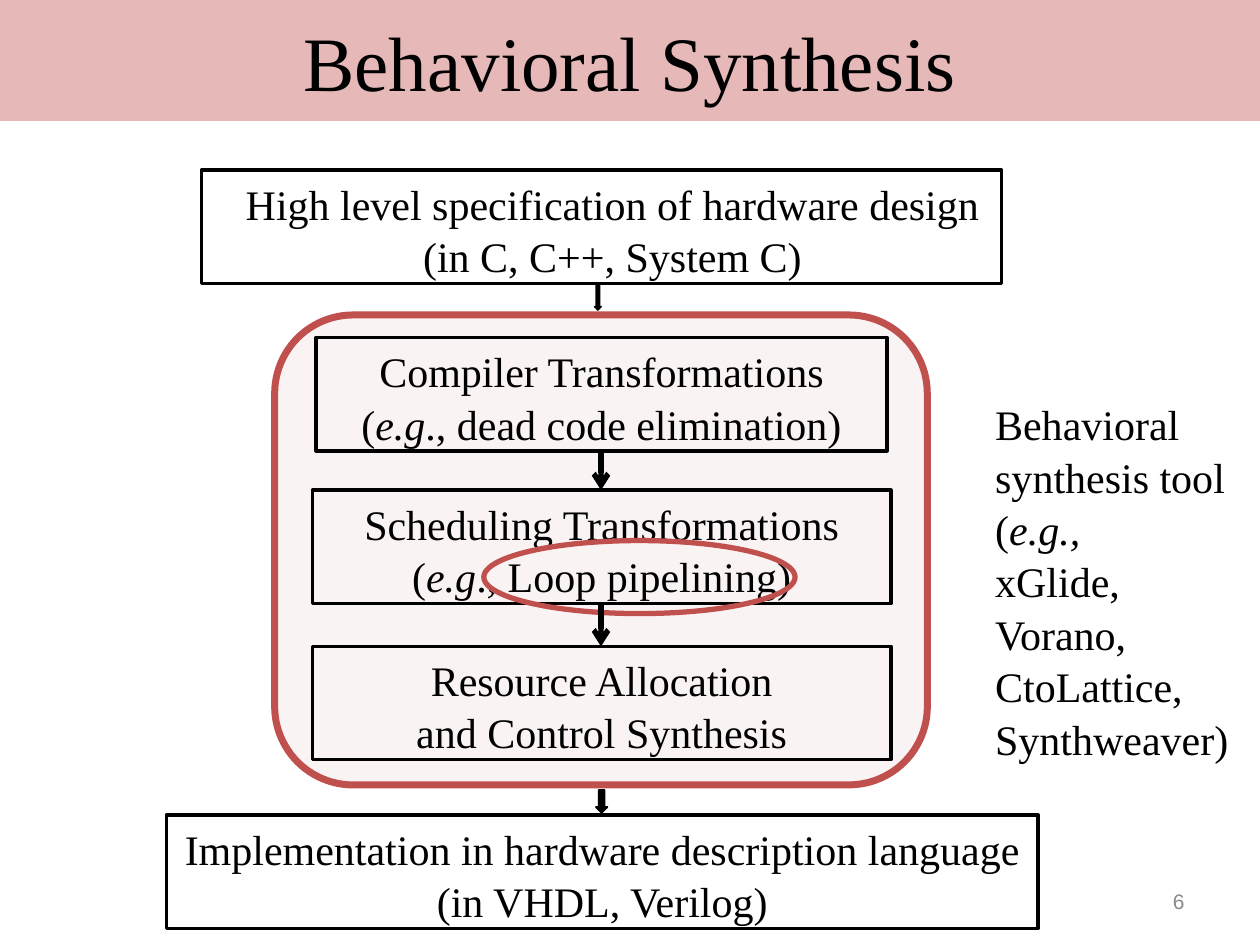
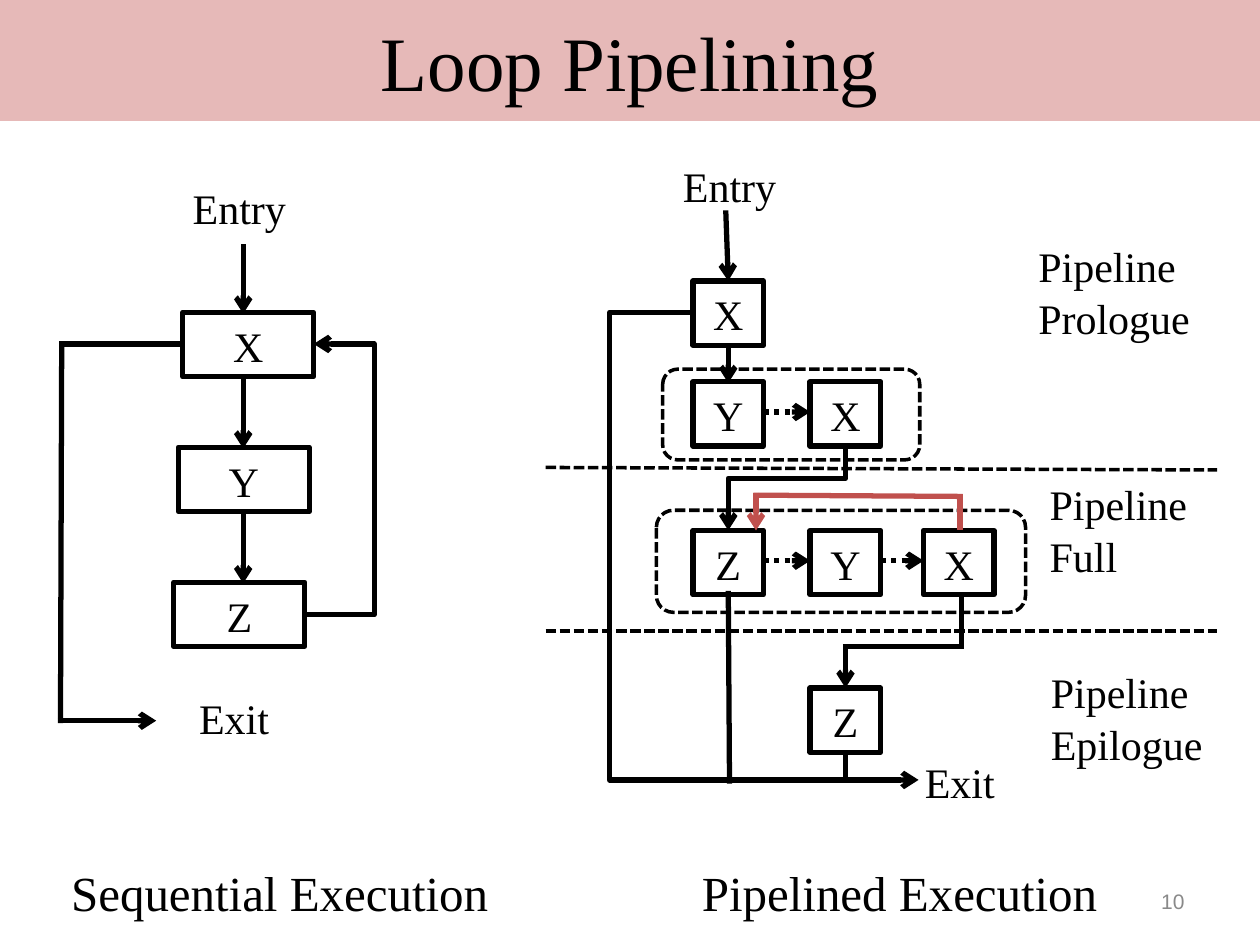
"""Build two slides on behavioral synthesis and loop pipelining."""
from dataclasses import dataclass
from typing import NamedTuple, Optional

from pptx import Presentation
from pptx import util as u
from pptx.dml.color import RGBColor
from pptx.enum import dml, shapes, text
from pptx.oxml import ns, xmlchemy

SHAPE = shapes.MSO_SHAPE
ALIGN = text.PP_ALIGN
ANCHOR = text.MSO_ANCHOR
DASHED = dml.MSO_LINE.SQUARE_DOT
DOTTED = dml.MSO_LINE.ROUND_DOT


@dataclass(frozen=True)
class Theme:
    ink: str = "000000"
    paper: str = "FFFFFF"
    band: str = "E6B9B8"
    tint: str = "F2DCDB"
    accent: str = "C0504D"
    muted: str = "898989"
    serif: str = "Times New Roman"
    sans: str = "Arial"
    title: int = 44
    caption: int = 28
    body: int = 24
    number: int = 12
    spacing: float = 1.04


THEME = Theme()


class Area(NamedTuple):
    left: float
    top: float
    width: float
    height: float


class Point(NamedTuple):
    x: float
    y: float


@dataclass(frozen=True)
class Style:
    size: int = THEME.body
    font: str = THEME.serif
    color: str = THEME.ink
    align: ALIGN = ALIGN.CENTER
    anchor: ANCHOR = ANCHOR.TOP
    inset: tuple = (0.1, 0.05)
    indent: float = 0
    spacing: float = THEME.spacing


@dataclass(frozen=True)
class Outline:
    color: str = THEME.ink
    weight: float = 3
    dash: Optional[dml.MSO_LINE] = None


@dataclass(frozen=True)
class Wire:
    begin: Point
    end: Point
    arrow: bool = False
    outline: Outline = Outline()
    bend: Optional[float] = None
    turned: bool = False


BOXED = Style()
NODE = Style(anchor=ANCHOR.MIDDLE, inset=(0.05, 0.02))
LABEL = Style(align=ALIGN.LEFT, inset=(0.05, 0.02))
SIDE_NOTE = Style(align=ALIGN.LEFT)
TITLE = Style(size=THEME.title, anchor=ANCHOR.MIDDLE, spacing=1)
CAPTION = Style(size=THEME.caption, anchor=ANCHOR.BOTTOM)
NUMBER = Style(THEME.number, THEME.sans, THEME.muted, ALIGN.RIGHT, ANCHOR.MIDDLE, spacing=1)
THIN = Outline(weight=2)
THIN_DASHED = Outline(weight=2, dash=DASHED)
THICK_DOTTED = Outline(dash=DOTTED)
FEEDBACK = Outline(color=THEME.accent)


def add_xml(parent, tag: str, **attributes: str):
    """Append a drawing element with the given attributes."""
    element = xmlchemy.OxmlElement(tag)
    for name, value in attributes.items():
        element.set(name, value)
    parent.append(element)
    return element


def lengths(*values: float) -> list:
    """Turn numbers of inches into lengths."""
    return [u.Inches(value) for value in values]


def write(box, lines: str, style: Style) -> None:
    """Write lines into a shape, with italics between asterisks."""
    frame = box.text_frame
    frame.word_wrap = True
    frame.vertical_anchor = style.anchor
    across, down = lengths(*style.inset)
    frame.margin_left = across + u.Inches(style.indent)
    frame.margin_right = across
    frame.margin_top = frame.margin_bottom = down
    for index, line in enumerate(lines.split("\n")):
        para = frame.paragraphs[0] if index == 0 else frame.add_paragraph()
        para.alignment = style.align
        para.line_spacing = style.spacing
        para.font.size = u.Pt(style.size)
        para.font.name = style.font
        para.font.color.rgb = RGBColor.from_string(style.color)
        for order, part in enumerate(line.split("*")):
            if part:
                span = para.add_run()
                span.text = part
                if order % 2:
                    span.font.italic = True


def apply_outline(line, outline: Outline) -> None:
    """Set the colour, weight and dash of a line."""
    line.color.rgb = RGBColor.from_string(outline.color)
    line.width = u.Pt(outline.weight)
    if outline.dash:
        line.dash_style = outline.dash


def add_figure(page, area: Area, kind=SHAPE.RECTANGLE, fill: Optional[str] = None,
               outline: Optional[Outline] = None, lines: str = "", style: Style = BOXED):
    """Draw a preset shape, with text if there is any."""
    box = page.shapes.add_shape(kind, *lengths(*area))
    box.shadow.inherit = False
    if fill:
        box.fill.solid()
        box.fill.fore_color.rgb = RGBColor.from_string(fill)
    else:
        box.fill.background()
    if outline:
        apply_outline(box.line, outline)
    else:
        box.line.fill.background()
    if lines:
        write(box, lines, style)
    return box


def add_label(page, area: Area, lines: str, style: Style = LABEL) -> None:
    """Place a text box."""
    write(page.shapes.add_textbox(*lengths(*area)), lines, style)


def add_wire(page, wire: Wire) -> None:
    """Draw a straight or elbow connector."""
    begin, end = wire.begin, wire.end
    if wire.turned:
        middle = Point((begin.x + end.x) / 2, (begin.y + end.y) / 2)
        half = Point(abs(end.y - begin.y) / 2, abs(end.x - begin.x) / 2)
        begin = Point(middle.x - half.x, middle.y - half.y)
        end = Point(middle.x + half.x, middle.y + half.y)
    kind = shapes.MSO_CONNECTOR.STRAIGHT if wire.bend is None else shapes.MSO_CONNECTOR.ELBOW
    connector = page.shapes.add_connector(kind, *lengths(*begin, *end))
    apply_outline(connector.line, wire.outline)
    properties = connector._element.spPr
    if wire.turned:
        properties.find(ns.qn("a:xfrm")).set("rot", str(90 * 60000))
    if wire.bend is not None:
        guides = properties.find(ns.qn("a:prstGeom")).find(ns.qn("a:avLst"))
        add_xml(guides, "a:gd", name="adj1", fmla=f"val {round(wire.bend * 100000)}")
    if wire.arrow:
        add_xml(properties.find(ns.qn("a:ln")), "a:tailEnd", type="arrow")
    add_xml(properties, "a:effectLst")


def add_page(deck, title: str, number: int):
    """Add a slide with its title band and number."""
    page = deck.slides.add_slide(deck.slide_layouts[6])
    add_figure(page, Area(0, 0, 10, 0.96), fill=THEME.band, lines=title, style=TITLE)
    add_label(page, Area(7.17, 6.95, 2.33, 0.4), str(number), NUMBER)
    return page


def build_synthesis(deck) -> None:
    """Draw the flow from specification to hardware description."""
    page = add_page(deck, "Behavioral Synthesis", 6)
    add_figure(page, Area(1.6, 1.35, 6.35, 0.9), fill=THEME.paper, outline=THIN,
               lines="High level specification of hardware design\n(in C, C++, System C)",
               style=Style(indent=0.17))
    add_figure(page, Area(1.32, 6.47, 6.92, 0.9), outline=THIN,
               lines="Implementation in hardware description language\n(in VHDL, Verilog)")
    add_label(page, Area(7.8, 3.1, 2.24, 2.9),
              "Behavioral\nsynthesis tool\n(*e.g.,*\nxGlide,\nVorano,\nCtoLattice,\nSynthweaver)",
              SIDE_NOTE)
    for arrow in (Area(4.72, 2.26, 0.05, 0.2), Area(4.73, 6.27, 0.09, 0.18)):
        add_figure(page, arrow, SHAPE.DOWN_ARROW, THEME.ink, Outline(weight=1))
    tool = add_figure(page, Area(2.18, 2.5, 5.18, 3.73), SHAPE.ROUNDED_RECTANGLE,
                      THEME.tint, Outline(THEME.accent, 4))
    tint = tool._element.spPr.find(ns.qn("a:solidFill"))[0]
    add_xml(tint, "a:alpha", val="33000")
    steps = (
        (Area(2.51, 2.68, 4.53, 0.9), "Compiler Transformations\n(*e.g*., dead code elimination)"),
        (Area(2.48, 3.89, 4.59, 0.9), "Scheduling Transformations\n(*e.g*., Loop pipelining)"),
        (Area(2.48, 5.13, 4.59, 0.9), "Resource Allocation\nand Control Synthesis"),
    )
    for area, lines in steps:
        add_figure(page, area, outline=THIN, lines=lines)
    add_figure(page, Area(3.84, 4.29, 2.47, 0.58), SHAPE.OVAL, outline=FEEDBACK)
    for (above, _), (below, _) in zip(steps, steps[1:]):
        add_wire(page, Wire(Point(4.77, above.top + above.height), Point(4.77, below.top), True))


def draw_sequential(page) -> None:
    """Draw the loop that runs one stage after another."""
    add_label(page, Area(1.48, 1.41, 0.96, 0.45), "Entry")
    add_label(page, Area(1.53, 5.46, 1.62, 0.45), "Exit")
    for index, name in enumerate("XYZ"):
        top = 2.48 + 1.07 * index
        add_figure(page, Area(1.45 - 0.035 * index, top, 1.04, 0.51),
                   outline=Outline(), lines=name, style=NODE)
        add_wire(page, Wire(Point(1.93, top - 0.54), Point(1.93, top + 0.01), True))
    wires = (
        Wire(Point(0.47, 2.73), Point(1.45, 2.73)),
        Wire(Point(0.49, 2.71), Point(0.48, 5.74)),
        Wire(Point(0.46, 5.72), Point(1.24, 5.72), True),
        Wire(Point(2.41, 4.88), Point(2.49, 2.73), True, bend=7),
    )
    for wire in wires:
        add_wire(page, wire)
    add_label(page, Area(0.07, 6.79, 4.3, 0.57), "Sequential Execution", CAPTION)


def draw_pipelined(page) -> None:
    """Draw the overlapped stages of the pipelined loop."""
    columns = (5.5, 6.43, 7.33)
    rows = ((2.23, "X"), (3.03, "YX"), (4.21, "ZYX"), (5.46, " Z"))
    for top, names in rows:
        for left, name in zip(columns, names):
            if name.strip():
                add_figure(page, Area(left, top, 0.56, 0.51),
                           outline=Outline(), lines=name, style=NODE)
        for left, right in zip(columns, columns[1:len(names.strip())]):
            add_wire(page, Wire(Point(left + 0.56, top + 0.24), Point(right, top + 0.24),
                                True, THICK_DOTTED))
    for group in (Area(5.26, 2.93, 2.04, 0.72), Area(5.21, 4.05, 2.93, 0.81)):
        add_figure(page, group, SHAPE.ROUNDED_RECTANGLE, outline=THIN_DASHED)
    wires = (
        Wire(Point(4.33, 3.71), Point(9.66, 3.73), outline=THIN_DASHED),
        Wire(Point(4.33, 5.01), Point(9.66, 5.01), outline=THIN_DASHED),
        Wire(Point(5.76, 1.67), Point(5.78, 2.23), True),
        Wire(Point(5.78, 2.74), Point(5.78, 3.04), True),
        Wire(Point(6, 3.91), Point(6, 4.21), True, FEEDBACK),
        Wire(Point(5.98, 3.93), Point(7.64, 3.94), outline=FEEDBACK),
        Wire(Point(7.62, 3.92), Point(7.62, 4.21), outline=FEEDBACK),
        Wire(Point(5.78, 4.69), Point(5.79, 6.22)),
        Wire(Point(6.71, 5.97), Point(6.71, 6.21)),
        Wire(Point(6.71, 5.13), Point(6.71, 5.46), True),
        Wire(Point(6.69, 5.13), Point(7.65, 5.13)),
        Wire(Point(7.63, 4.7), Point(7.63, 5.14)),
        Wire(Point(5.5, 2.48), Point(7.29, 6.19), True, bend=-0.37),
        Wire(Point(6.71, 3.53), Point(5.78, 4.21), True, bend=0.39, turned=True),
    )
    for wire in wires:
        add_wire(page, wire)
    labels = (
        (Area(5.37, 1.24, 1.25, 0.45), "Entry"),
        (Area(7.29, 5.97, 0.88, 0.45), "Exit"),
        (Area(8.19, 1.87, 1.55, 0.85), "Pipeline Prologue"),
        (Area(8.28, 3.76, 1.32, 0.85), "Pipeline\nFull"),
        (Area(8.29, 5.25, 1.38, 0.85), "Pipeline Epilogue"),
    )
    for area, lines in labels:
        add_label(page, area, lines)
    add_label(page, Area(5.17, 6.79, 3.94, 0.57), "Pipelined Execution", CAPTION)


def main() -> None:
    """Build and save the deck."""
    deck = Presentation()
    deck.slide_width, deck.slide_height = lengths(10, 7.5)
    build_synthesis(deck)
    page = add_page(deck, "Loop Pipelining", 10)
    draw_sequential(page)
    draw_pipelined(page)
    deck.save("out.pptx")


if __name__ == "__main__":
    main()
